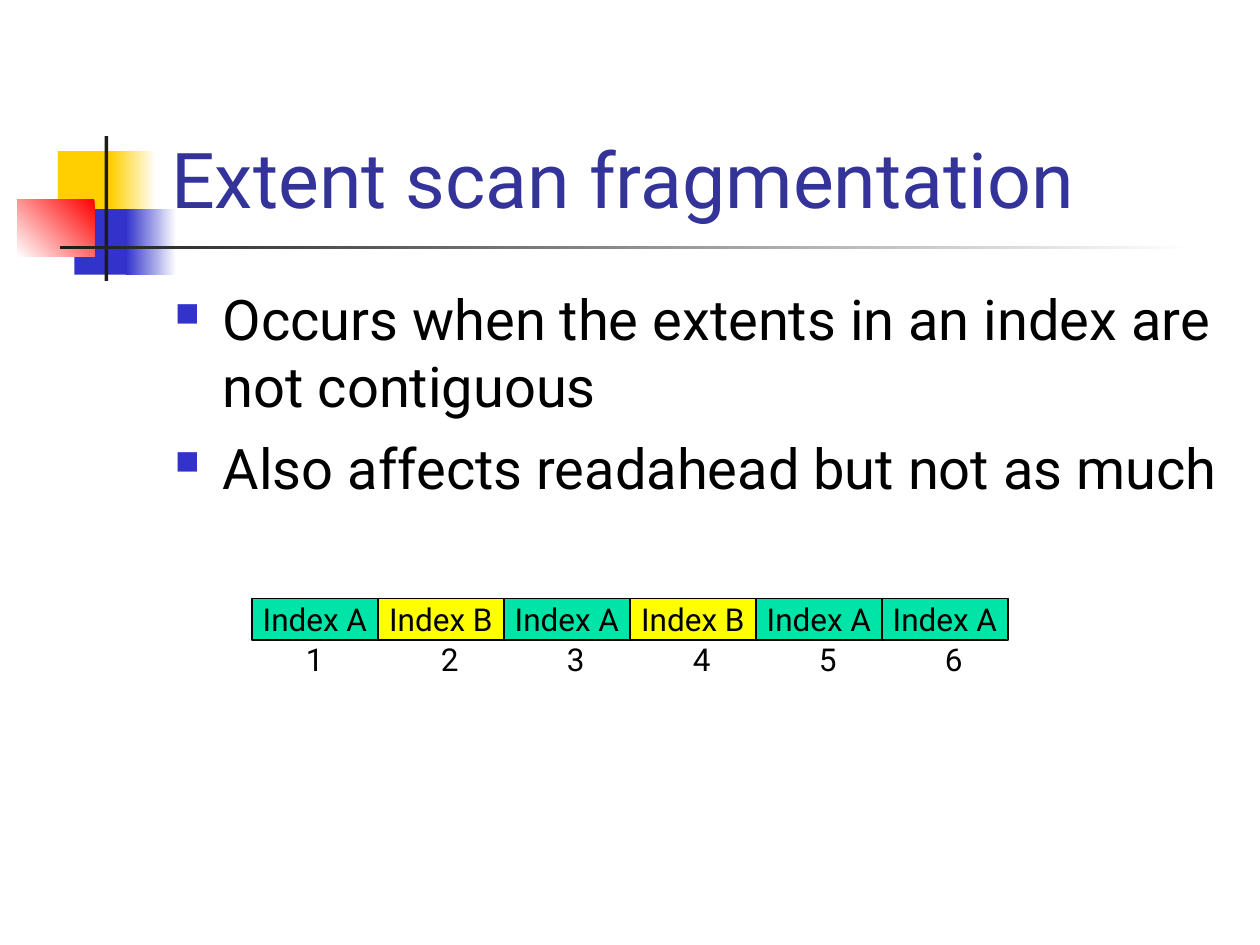
"""Build the slide on extent scan fragmentation."""
import pptx
import pptx.dml.color
import pptx.enum.shapes
import pptx.enum.text
import pptx.oxml
import pptx.util

Inches = pptx.util.Inches
Pt = pptx.util.Pt
ANCHOR = pptx.enum.text.MSO_ANCHOR
ALIGN = pptx.enum.text.PP_ALIGN
RECT = pptx.enum.shapes.MSO_SHAPE.RECTANGLE
NS = 'xmlns:a="http://schemas.openxmlformats.org/drawingml/2006/main"'
BULLET = (
    f'<a:buClr {NS}><a:srgbClr val="3333CC"/></a:buClr>',
    f'<a:buSzPct {NS} val="60000"/>',
    f'<a:buChar {NS} char="■"/>',
)


def paint(color, code):
    color.rgb = pptx.dml.color.RGBColor.from_string(code)


def write(frame, lines, size, code, look, bullets=()):
    for key, value in look.items():
        setattr(frame, key, value)
    for i, line in enumerate(lines):
        para = frame.paragraphs[0] if i == 0 else frame.add_paragraph()
        para.text = line
        for mark in bullets:
            para._p.get_or_add_pPr().append(pptx.oxml.parse_xml(mark))
        if bullets:
            para._p.pPr.set("marL", str(Inches(0.38)))
            para._p.pPr.set("indent", str(Inches(-0.38)))
        if i:
            para.space_before = Pt(8)
        style = {"name": "Roboto", "size": Pt(size)}
        for key, value in style.items():
            setattr(para.font, key, value)
        paint(para.font.color, code)


deck = pptx.Presentation()
deck.slide_width, deck.slide_height = Inches(10), Inches(7.5)
slide = deck.slides.add_slide(deck.slide_layouts[6])
shapes = slide.shapes

decor = [
    (0.46, 1.2, 0.48, 0.52, ["FFCF01"], 0),
    (0.88, 1.2, 0.36, 0.52, ["FFFFFF", "FFCF01"], 180),
    (0.59, 1.66, 0.46, 0.52, ["3333CC"], 0),
    (1, 1.66, 0.4, 0.52, ["FFFFFF", "3333CC"], 180),
    (0.14, 1.58, 0.61, 0.46, ["FF0000", "FFFFFF"], 225),
    (0.83, 1.08, 0.03, 1.15, ["1C1C1C"], 0),
    (0.48, 1.95, 9, 0.03, ["FFFFFF", "1C1C1C"], 180),
]
for *place, codes, angle in decor:
    block = shapes.add_shape(RECT, *map(Inches, place))
    block.shadow.inherit = False
    block.line.fill.background()
    if len(codes) == 1:
        block.fill.solid()
        paint(block.fill.fore_color, codes[0])
    else:
        block.fill.gradient()
        block.fill.gradient_angle = angle
        for i, code in enumerate(codes):
            stop = block.fill.gradient_stops[i]
            stop.position = i
            paint(stop.color, code)

title = shapes.add_textbox(*map(Inches, (1.26, 0.23, 8.52, 1.6)))
write(title.text_frame, ["Extent scan fragmentation"], 44, "333399",
      {"word_wrap": True, "vertical_anchor": ANCHOR.BOTTOM})

points = [
    "Occurs when the extents in an index are not contiguous",
    "Also affects readahead but not as much",
]
body = shapes.add_textbox(*map(Inches, (1.29, 2.21, 8.5, 4.5)))
write(body.text_frame, points, 32, "000000", {"word_wrap": True}, BULLET)

fills = {"A": "00E4A8", "B": "FFFF00"}
for i, name in enumerate("ABABAA"):
    cell = shapes.add_shape(RECT, Inches(2 + i), Inches(4.75), Inches(1), Inches(0.33))
    cell.shadow.inherit = False
    cell.fill.solid()
    paint(cell.fill.fore_color, fills[name])
    paint(cell.line.color, "000000")
    cell.line.width = Pt(0.75)
    write(cell.text_frame, [f"Index {name}"], 18, "000000",
          {"word_wrap": False, "vertical_anchor": ANCHOR.MIDDLE})
    cell.text_frame.paragraphs[0].alignment = ALIGN.CENTER

for i in range(6):
    left, width = (2.4 + i, 0.34) if i else (2.33, 0.5)
    label = shapes.add_textbox(Inches(left), Inches(5.03), Inches(width), Inches(0.4))
    write(label.text_frame, [str(i + 1)], 18, "000000",
          {"word_wrap": i == 0, "auto_size": pptx.enum.text.MSO_AUTO_SIZE.SHAPE_TO_FIT_TEXT})

deck.save("out.pptx")
